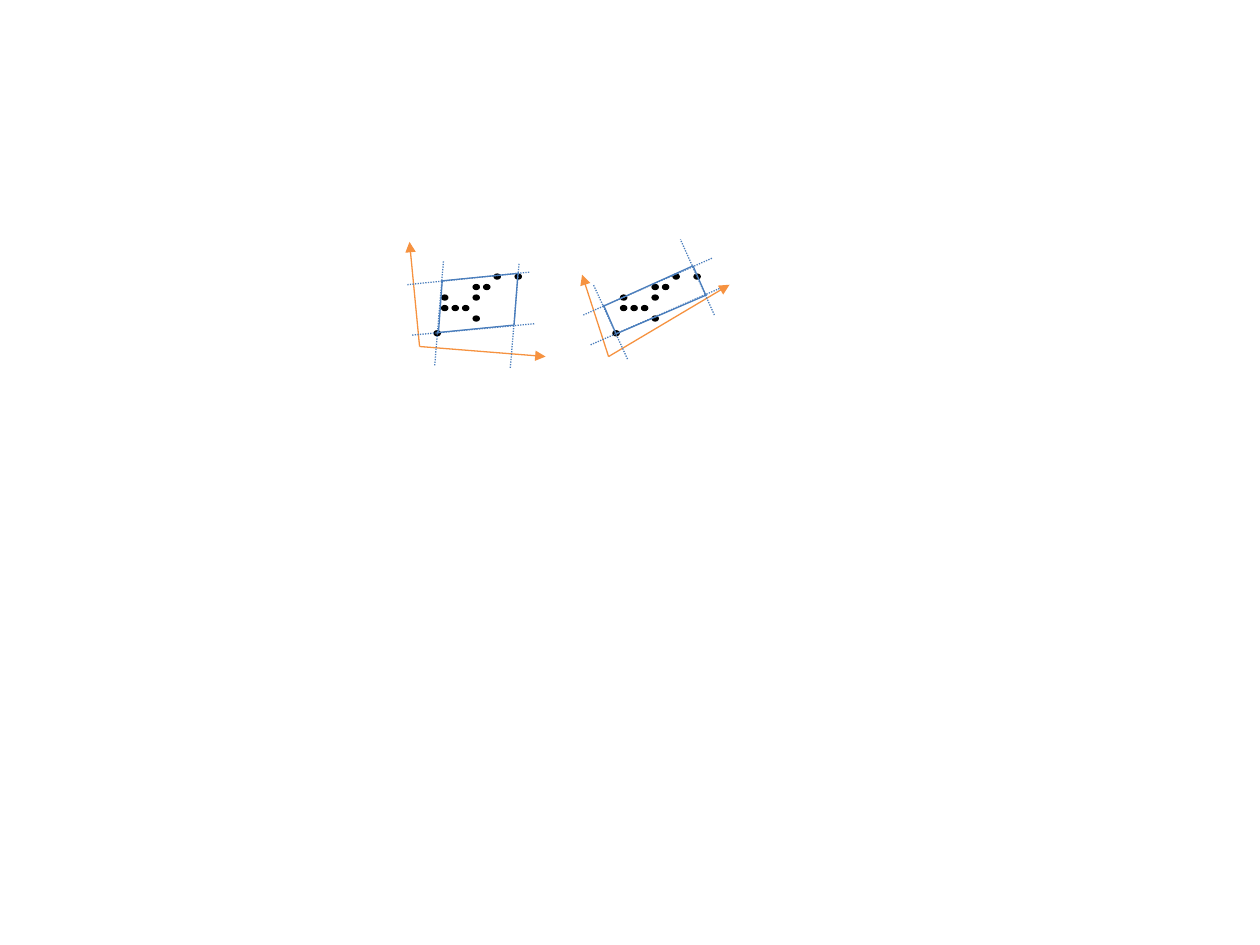
import pptx
import pptx.util
import pptx.dml.color
import pptx.enum.dml
import pptx.enum.shapes
import pptx.oxml.ns
from dataclasses import dataclass
from lxml import etree
from pptx.util import Inches


@dataclass(frozen=True)
class Theme:
    dot: str = "000000"
    axis: str = "F69240"
    edge: str = "4B7EBC"
    line: float = 0.75


THEME = Theme()
STEP = 1 / 12
# Column and row of each point on the grid
CELLS = [(0, 3), (2, 3), (3, 4), (3, 2), (3, 1), (7, 0),
         (5, 0), (1, 3), (4, 1), (0, 2)]
GRID = (0.3, 0.27)
CORNER = (0.24, 0.72)

# Lines are x1, y1, x2, y2 in inches from the corner of the panel
LOOSE = {
    "axes": [(0.13, 0.85, 1.13, 0.93), (0.13, 0.85, 0.05, 0.02)],
    "guides": [(0.25, 1.0, 0.32, 0.17), (0.85, 1.02, 0.92, 0.19),
               (1.04, 0.67, 0.07, 0.76), (1.0, 0.26, 0.03, 0.36)],
    "sides": [(0.3, 0.33, 0.91, 0.27), (0.27, 0.74, 0.88, 0.68),
              (0.91, 0.28, 0.88, 0.68), (0.31, 0.33, 0.28, 0.74)],
}
TIGHT = {
    "axes": [(0.21, 0.93, 1.17, 0.36), (0.21, 0.93, 0, 0.28)],
    "guides": [(1.05, 0.6, 0.78, 0), (0.36, 0.95, 0.09, 0.36),
               (1.03, 0.15, 0.01, 0.6), (1.09, 0.39, 0.06, 0.84)],
    "sides": [(0.99, 0.44, 0.27, 0.75), (0.88, 0.21, 0.17, 0.53),
              (0.27, 0.75, 0.17, 0.52), (0.98, 0.44, 0.88, 0.21)],
}


def add_dot(slide, x, y):
    dot = slide.shapes.add_shape(pptx.enum.shapes.MSO_SHAPE.OVAL, Inches(x),
                                 Inches(y), Inches(0.06), Inches(0.05))
    dot.shadow.inherit = False
    dot.fill.solid()
    dot.fill.fore_color.rgb = pptx.dml.color.RGBColor.from_string(THEME.dot)
    dot.line.fill.background()


def add_line(slide, left, top, ends, color, dash=None, arrow=False):
    x1, y1, x2, y2 = ends
    link = slide.shapes.add_connector(
        pptx.enum.shapes.MSO_CONNECTOR.STRAIGHT, Inches(left + x1),
        Inches(top + y1), Inches(left + x2), Inches(top + y2))
    link.line.color.rgb = pptx.dml.color.RGBColor.from_string(color)
    link.line.width = pptx.util.Pt(THEME.line)
    if dash:
        link.line.dash_style = dash
    qn = pptx.oxml.ns.qn
    if arrow:
        tip = etree.SubElement(link.line._get_or_add_ln(), qn("a:tailEnd"))
        tip.set("type", "triangle")
    etree.SubElement(link._element.spPr, qn("a:effectLst"))


def add_panel(slide, left, top, frame):
    """Draw the points with the axes and bounding box of one frame."""
    add_dot(slide, left + CORNER[0], top + CORNER[1])
    for col, row in CELLS:
        add_dot(slide, left + GRID[0] + col * STEP,
                top + GRID[1] + row * STEP)
    for ends in frame["axes"]:
        add_line(slide, left, top, ends, THEME.axis, arrow=True)
    for ends in frame["guides"]:
        add_line(slide, left, top, ends, THEME.edge,
                 dash=pptx.enum.dml.MSO_LINE.ROUND_DOT)
    for ends in frame["sides"]:
        add_line(slide, left, top, ends, THEME.edge)


def main():
    deck = pptx.Presentation()
    deck.slide_width = Inches(10)
    deck.slide_height = Inches(7.5)
    slide = deck.slides.add_slide(deck.slide_layouts[6])
    add_panel(slide, 3.2, 1.9, LOOSE)
    add_panel(slide, 4.62, 1.9, TIGHT)
    deck.save("out.pptx")


if __name__ == "__main__":
    main()
